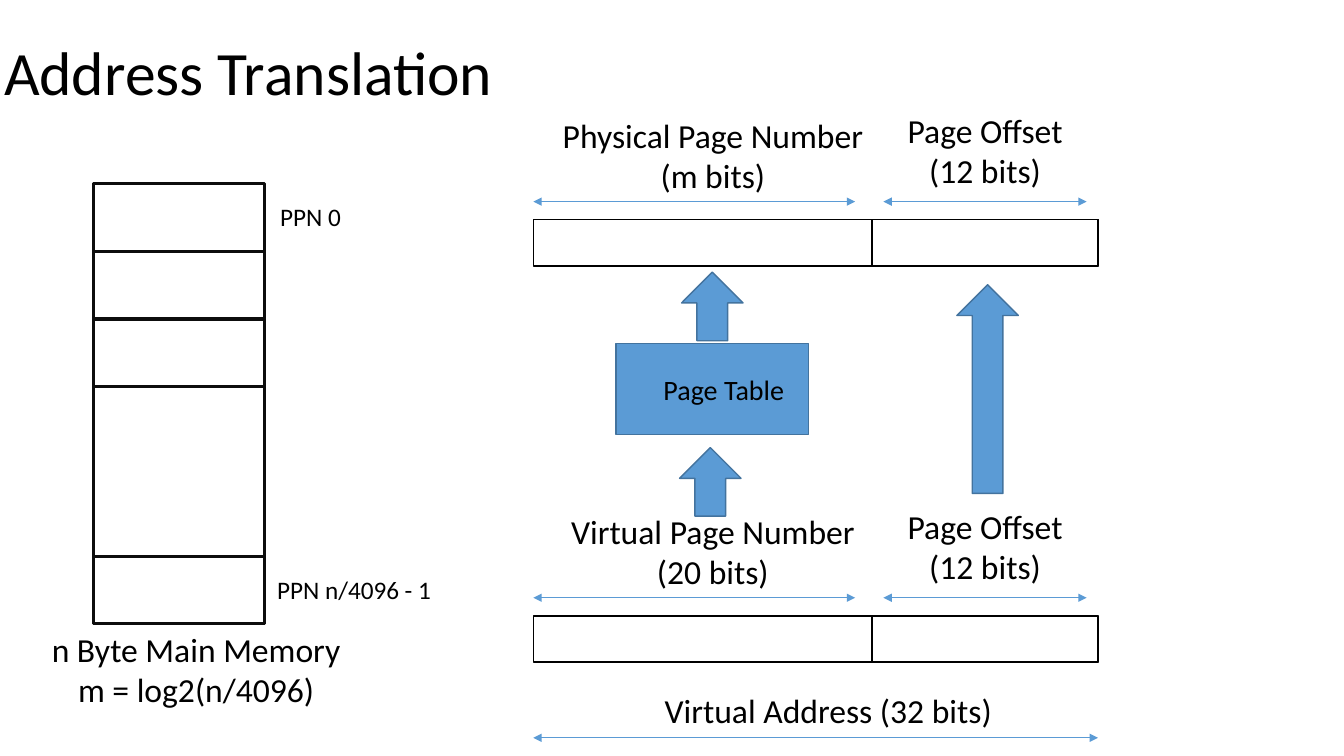
from dataclasses import dataclass

from lxml import etree
from pptx import Presentation
from pptx.dml.color import RGBColor
from pptx.enum.shapes import MSO_CONNECTOR, MSO_SHAPE
from pptx.enum.text import MSO_ANCHOR, PP_ALIGN
from pptx.oxml.ns import qn
from pptx.util import Inches, Pt

RECTANGLE = MSO_SHAPE.RECTANGLE
RIGHT_ARROW = MSO_SHAPE.RIGHT_ARROW
STRAIGHT = MSO_CONNECTOR.STRAIGHT
LEFT, CENTER = PP_ALIGN.LEFT, PP_ALIGN.CENTER
TOP, MIDDLE = MSO_ANCHOR.TOP, MSO_ANCHOR.MIDDLE


@dataclass(frozen=True)
class Theme:
    """Colours, type sizes and line widths of the slide."""
    font: str = "Calibri"
    ink: str = "000000"
    frame: str = "0D0D0D"
    accent: str = "5B9BD5"
    accent_edge: str = "43739E"
    title: float = 44
    label: float = 24
    table: float = 20
    note: float = 18
    thick: float = 2.25
    normal: float = 1
    thin: float = 0.5


THEME = Theme()


def write(frame, text, size, align=LEFT, anchor=TOP, wrap=False):
    """Fill a text frame and format its runs."""
    frame.text = text
    frame.word_wrap = wrap
    frame.vertical_anchor = anchor
    for paragraph in frame.paragraphs:
        paragraph.alignment = align
        for run in paragraph.runs:
            run.font.name = THEME.font
            run.font.size = Pt(size)
            run.font.color.rgb = RGBColor.from_string(THEME.ink)


def add_label(shapes, box, text, size, align=LEFT, **layout):
    """Place a text box and return its frame."""
    frame = shapes.add_textbox(*map(Inches, box)).text_frame
    write(frame, text, size, align, **layout)
    return frame


def add_block(shapes, kind, box, edge, width, fill=None):
    """Place an outlined preset shape, filled if a colour is given."""
    block = shapes.add_shape(kind, *map(Inches, box))
    block.shadow.inherit = False
    block.line.color.rgb = RGBColor.from_string(edge)
    block.line.width = Pt(width)
    if fill:
        block.fill.solid()
        block.fill.fore_color.rgb = RGBColor.from_string(fill)
    else:
        block.fill.background()
    return block


def add_span(shapes, start, end, y):
    """Draw a horizontal dimension line with a head at both ends."""
    span = shapes.add_connector(STRAIGHT, *map(Inches, (start, y, end, y)))
    span.line.color.rgb = RGBColor.from_string(THEME.accent)
    span.line.width = Pt(THEME.thin)
    properties = span.line._get_or_add_ln()
    for end_tag in ("a:headEnd", "a:tailEnd"):
        etree.SubElement(properties, qn(end_tag), type="triangle")
    etree.SubElement(span._element.spPr, qn("a:effectLst"))


def add_up_arrow(shapes, center_x, center_y, length, breadth=0.61):
    """Draw a block arrow that points up around its centre."""
    box = (center_x - length / 2, center_y - breadth / 2, length, breadth)
    arrow = add_block(shapes, RIGHT_ARROW, box, THEME.accent_edge,
                      THEME.normal, THEME.accent)
    arrow.rotation = 270


def add_title(slide, box, text):
    """Place the slide title."""
    frame = add_label(slide.shapes, box, text, THEME.title,
                      anchor=MIDDLE, wrap=True)
    frame.margin_left = Inches(0.04)
    frame.paragraphs[0].line_spacing = 0.9


def add_address(slide, box, page_label):
    """Draw an address split into page number and offset fields."""
    left, top, width, height = box
    split = 0.6 * width
    fields = slide.shapes.add_group_shape().shapes
    for x, field_width in ((left, width), (left + split, width - split)):
        add_block(fields, RECTANGLE, (x, top, field_width, height),
                  THEME.ink, THEME.normal)
    for start, end in ((0.62, 0.98), (0, 0.57)):
        add_span(fields, left + start * width, left + end * width, top - 0.18)
    for text, center, label_width, rise in (
            (page_label, 0.318, 3.2, 1.09),
            ("Page Offset\n(12 bits)", 0.8, 1.76, 1.14)):
        label_left = left + center * width - label_width / 2
        add_label(slide.shapes, (label_left, top - rise, label_width, 0.91),
                  text, THEME.label, CENTER)


def add_address_length(slide, box, text):
    """Mark the full length of the address under its label."""
    left, top, width, height = box
    add_label(slide.shapes, (left + 0.6, top, width - 0.95, height),
              text, THEME.label, CENTER, wrap=True)
    add_span(slide.shapes, left, left + width, top + height + 0.02)


def add_translation(slide, box):
    """Draw the page table and the arrows from virtual to physical address."""
    left, top, width, height = box
    shapes = slide.shapes
    middle = left + width / 2
    page_table = add_block(shapes, RECTANGLE, box, THEME.accent_edge,
                           THEME.normal, THEME.accent)
    write(page_table.text_frame, "Page Table", THEME.table, anchor=MIDDLE)
    page_table.text_frame.margin_left = Inches(0.47)
    add_up_arrow(shapes, middle - 0.02, top + height + 0.47, 0.68)
    add_up_arrow(shapes, middle, top - 0.37, 0.68)
    add_up_arrow(shapes, middle + 2.73, top + height / 2, 2.07)


def add_memory(slide, box):
    """Draw main memory as a column of page frames with its labels."""
    left, top, width, height = box
    shapes = slide.shapes
    row = height / 6.5
    for first_row, rows in ((0, 1), (1, 1), (2, 1), (3, 3.5), (5.5, 1)):
        add_block(shapes, RECTANGLE,
                  (left, top + first_row * row, width, rows * row),
                  THEME.frame, THEME.thick)
    for text, gap, first_row, label_width in (
            ("PPN 0", 0.06, 0, 0.81), ("PPN n/4096 - 1", 0.03, 5.5, 1.75)):
        add_label(shapes, (left + width + gap, top + first_row * row + 0.13,
                           label_width, 0.4), text, THEME.note)
    add_label(shapes, (left - 0.53, top + height, width + 1.4, 0.91),
              "n Byte Main Memory\nm = log2(n/4096)", THEME.label, CENTER)


def main():
    """Build and save the slide."""
    deck = Presentation()
    deck.slide_width, deck.slide_height = Inches(13.33), Inches(7.5)
    slide = deck.slides.add_slide(deck.slide_layouts[6])
    add_title(slide, (0, 0.02, 11.44, 1.45), "Address Translation")
    add_address(slide, (5.29, 6.11, 5.6, 0.46),
                "Virtual Page Number\n(20 bits)")
    add_address_length(slide, (5.29, 6.8, 5.6, 0.5),
                       "Virtual Address (32 bits)")
    add_address(slide, (5.29, 2.18, 5.6, 0.46),
                "Physical Page Number\n(m bits)")
    add_translation(slide, (6.11, 3.41, 1.91, 0.9))
    add_memory(slide, (0.93, 1.82, 1.69, 4.37))
    deck.save("out.pptx")


if __name__ == "__main__":
    main()
